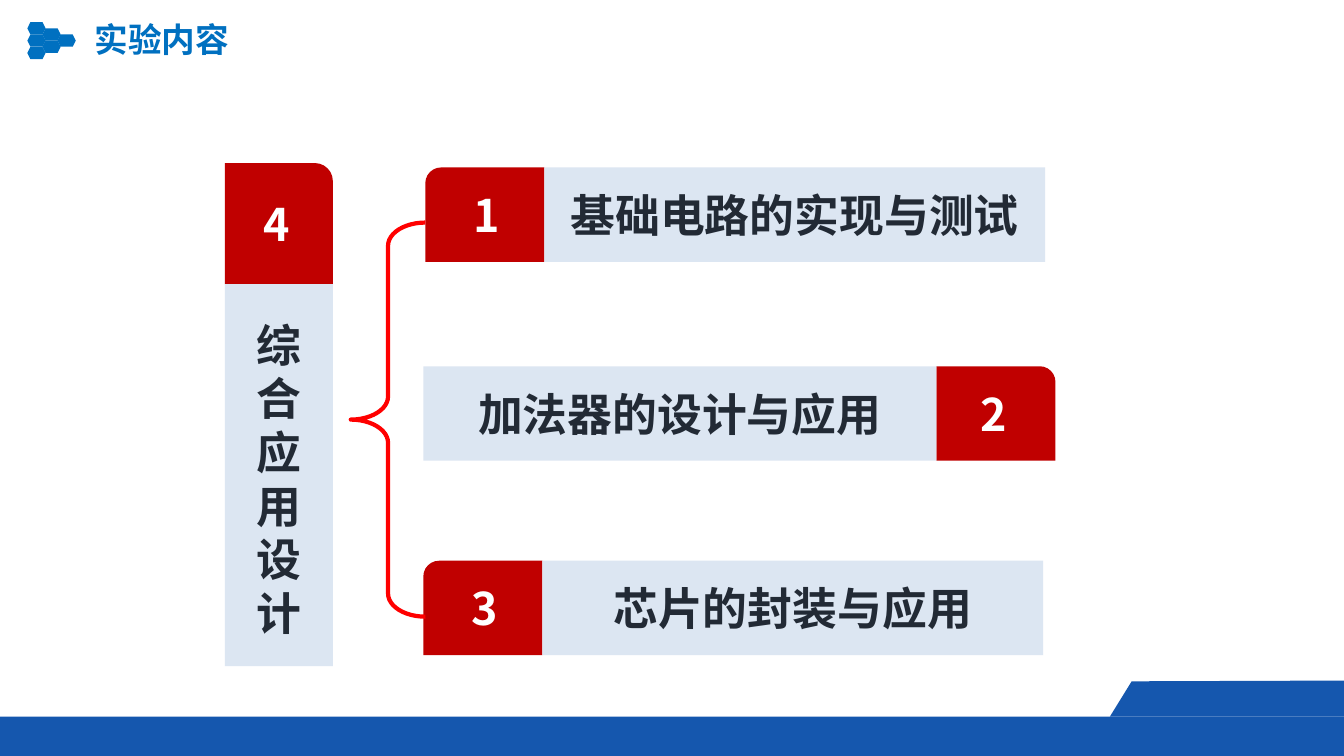
from pptx import Presentation
from pptx import util as u
from pptx.dml.color import RGBColor
from pptx.enum import shapes as s, text as t
from pptx.oxml.ns import qn
from lxml import etree

FONT = "Noto Sans CJK SC"
RED, PALE, DARK = "C00000", "DCE6F2", "222A35"
SKY, NAVY, WHITE = "0070C0", "1557AE", "FFFFFF"
WIDE, HIGH = 33.87, 19.05
KIND = s.MSO_SHAPE


def paint(part, hue):
    part.rgb = RGBColor.from_string(hue)


def style(shape, fill=None, line=None):
    shape.shadow.inherit = False
    if fill:
        shape.fill.solid()
        paint(shape.fill.fore_color, fill)
    else:
        shape.fill.background()
    if line:
        paint(shape.line.color, line)
        shape.line.width = u.Pt(3)
    else:
        shape.line.fill.background()
    return shape


def draw(slide, kind, x, y, w, h, fill=None, line=None):
    box = [u.Cm(n) for n in (x, y, w, h)]
    return style(slide.shapes.add_shape(kind, *box), fill, line)


def write(shape, words, size=32, hue=DARK, align=t.PP_ALIGN.CENTER,
          anchor=t.MSO_ANCHOR.MIDDLE, wrap=True, pitch=None):
    frame = shape.text_frame
    frame.word_wrap, frame.vertical_anchor = wrap, anchor
    para = frame.paragraphs[0]
    para.alignment = align
    if pitch:
        para.line_spacing = u.Pt(pitch)
    run = para.add_run()
    run.text = words
    font = run.font
    font.size, font.bold, font.name = u.Pt(size), True, FONT
    paint(font.color, hue)
    # East Asian typeface
    east = etree.SubElement(font._element, qn("a:ea"))
    east.set("typeface", FONT)


def tab(slide, num, x, y, w, h, flip=False):
    shape = draw(slide, KIND.ROUND_1_RECTANGLE, x, y, w, h, RED)
    if flip:
        shape._element.spPr.xfrm.set("flipH", "1")
    write(shape, num, hue=WHITE)


def header(slide, x, y):
    # Honeycomb arrow: columns of three, two and one
    w, h, step = 0.46, 0.31, 0.38
    for col in range(3):
        for row in range(3 - col):
            draw(slide, KIND.HEXAGON, x + col * step,
                 y + (row + col / 2) * h, w, h, SKY)
    # Title
    title = slide.shapes.title
    title.left, title.top = u.Cm(x + 1.44), u.Cm(y - 0.2)
    title.width, title.height = u.Cm(3.94), u.Cm(1.27)
    write(title, "实验内容", size=24, hue=SKY, align=t.PP_ALIGN.LEFT,
          wrap=False)


def footer(slide, y):
    draw(slide, KIND.RECTANGLE, 0, y, WIDE, HIGH - y, NAVY)
    # Raised corner
    pts = [(27.97, y), (28.52, y - 0.89), (WIDE, y - 0.91), (WIDE, y)]
    pts = [(u.Cm(a), u.Cm(b)) for a, b in pts]
    form = slide.shapes.build_freeform(*pts[0])
    form.add_line_segments(pts[1:], close=True)
    style(form.convert_to_shape(), NAVY)


def column(slide, num, words, x, y, w, h):
    top = 3.05
    tab(slide, num, x, y, w, top)
    body = draw(slide, KIND.RECTANGLE, x, y + top, w, h - top, PALE)
    body.text_frame.margin_top = u.Cm(0.29)
    write(body, words, pitch=38.3)


def topic(slide, num, words, x, y, w, h, right=False):
    side = 3
    tab(slide, num, x + (w - side) * right, y, side, h, flip=not right)
    body = draw(slide, KIND.RECTANGLE, x + side * (not right), y,
                w - side, h, PALE)
    write(body, words)


def main():
    deck = Presentation()
    deck.slide_width, deck.slide_height = u.Cm(WIDE), u.Cm(HIGH)
    slide = deck.slides.add_slide(deck.slide_layouts[5])
    header(slide, 0.69, 0.56)
    footer(slide, 18.06)
    column(slide, "4", "综合应用设计", 5.67, 4.11, 2.72, 12.68)
    # Topics: number, words, left, top, width, tab on the right
    topics = [("1", "基础电路的实现与测试", 10.72, 4.22, 15.62, False),
              ("2", "加法器的设计与应用", 10.67, 9.23, 15.93, True),
              ("3", "芯片的封装与应用", 10.67, 14.13, 15.62, False)]
    for num, words, x, y, w, right in topics:
        topic(slide, num, words, x, y, w, 2.38, right)
    # Brace from the column to the topics
    brace = draw(slide, KIND.LEFT_BRACE, 8.84, 5.61, 1.88, 9.93,
                 line="FF0000")
    brace.adjustments[0], brace.adjustments[1] = 0.31, 0.5
    deck.save("out.pptx")


if __name__ == "__main__":
    main()
